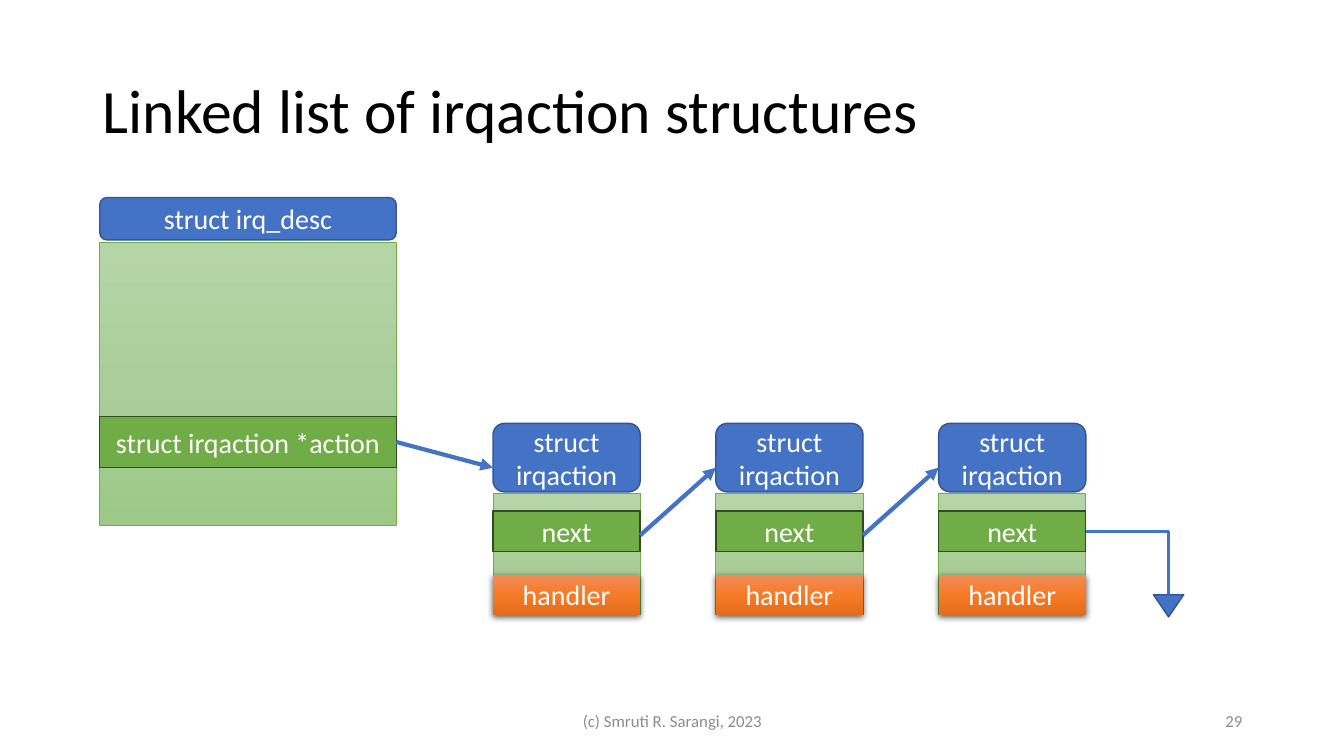
from dataclasses import dataclass

from lxml.etree import SubElement
from pptx import Presentation
from pptx.dml.color import RGBColor
from pptx.enum.shapes import MSO_CONNECTOR, MSO_SHAPE
from pptx.enum.text import MSO_ANCHOR, PP_ALIGN
from pptx.oxml.ns import qn
from pptx.util import Inches, Pt


@dataclass(frozen=True)
class Theme:
    font: str = "Calibri"
    title_size: int = 44
    label_size: int = 20
    footer_size: int = 12
    black: str = "000000"
    white: str = "FFFFFF"
    gray: str = "8C8C8C"
    blue: str = "4472C4"
    blue_edge: str = "325491"
    green: str = "70AD47"
    green_edge: str = "314C1F"
    pale_green: tuple = ("B5D5A7", "AACE9A", "9CC987")
    orange: tuple = ("F18C57", "F67B28", "E56C19")


THEME = Theme()
LEFT, RIGHT = 1, 3  # connection sites of a rectangle


def rgb(value):
    return RGBColor.from_string(value)


def style_text(tf, text, size, color, align):
    tf.word_wrap = True
    tf.vertical_anchor = MSO_ANCHOR.MIDDLE
    p = tf.paragraphs[0]
    p.text = text
    p.alignment = align
    p.font.name = THEME.font
    p.font.size = Pt(size)
    p.font.color.rgb = rgb(color)
    return p


def fill_gradient(sp, colors):
    """Vertical gradient with evenly spaced stops."""
    sp.fill.gradient()
    sp.fill.gradient_angle = 270
    stops = sp.element.spPr.find(".//" + qn("a:gsLst"))
    for stop in list(stops):
        stops.remove(stop)
    for i, color in enumerate(colors):
        position = 100000 * i // (len(colors) - 1)
        stop = SubElement(stops, qn("a:gs"), pos=str(position))
        SubElement(stop, qn("a:srgbClr"), val=color)


def add_block(s, box, fill, edge=None, weight=1, text="", kind=MSO_SHAPE.RECTANGLE):
    sp = s.shapes.add_shape(kind, *map(Inches, box))
    sp.shadow.inherit = False
    if isinstance(fill, tuple):
        fill_gradient(sp, fill)
    else:
        sp.fill.solid()
        sp.fill.fore_color.rgb = rgb(fill)
    if edge:
        sp.line.color.rgb = rgb(edge)
        sp.line.width = Pt(weight)
    else:
        sp.line.fill.background()
    if text:
        style_text(sp.text_frame, text, THEME.label_size, THEME.white, PP_ALIGN.CENTER)
    return sp


def add_header(s, box, text):
    return add_block(s, box, THEME.blue, THEME.blue_edge, text=text,
                     kind=MSO_SHAPE.ROUNDED_RECTANGLE)


def add_body(s, box):
    return add_block(s, box, THEME.pale_green, THEME.green, 0.5)


def add_field(s, box, text):
    return add_block(s, box, THEME.green, THEME.green_edge, text=text)


def add_handler(s, box):
    sp = add_block(s, box, THEME.orange, text="handler")
    effects = sp.element.spPr.find(qn("a:effectLst"))
    shadow = SubElement(effects, qn("a:outerShdw"), blurRad=str(Pt(4.5)),
                        dist=str(Pt(1.5)), dir="5400000", algn="ctr", rotWithShape="0")
    color = SubElement(shadow, qn("a:srgbClr"), val=THEME.black)
    SubElement(color, qn("a:alpha"), val="63000")


def add_line(s, start, end, weight, arrow=False):
    line = s.shapes.add_connector(MSO_CONNECTOR.STRAIGHT, *map(Inches, start + end))
    line.line.color.rgb = rgb(THEME.blue)
    line.line.width = Pt(weight)
    if arrow:
        SubElement(line.line._get_or_add_ln(), qn("a:tailEnd"), type="triangle")
    SubElement(line.element.spPr, qn("a:effectLst"))
    return line


def add_node(s, x):
    """One irqaction structure; returns its next field."""
    width = 1.46
    add_body(s, (x, 4.89, width, 1.21))
    add_handler(s, (x, 5.7, width, 0.4))
    next_field = add_field(s, (x, 5.07, width, 0.4), "next")
    add_header(s, (x, 4.2, width, 0.68), "struct irqaction")
    return next_field


def add_label(s, box, text, align):
    tb = s.shapes.add_textbox(*map(Inches, box))
    style_text(tb.text_frame, text, THEME.footer_size, THEME.gray, align)


def add_title(s, text):
    title = s.shapes.title
    title.left, title.top, title.width, title.height = map(Inches, (0.92, 0.4, 11.5, 1.45))
    p = style_text(title.text_frame, text, THEME.title_size, THEME.black, PP_ALIGN.LEFT)
    p.line_spacing = 0.9


def main():
    prs = Presentation()
    prs.slide_width, prs.slide_height = Inches(13.33), Inches(7.5)
    s = prs.slides.add_slide(prs.slide_layouts[5])
    add_title(s, "Linked list of irqaction structures")

    # Interrupt descriptor
    add_body(s, (0.99, 2.4, 2.94, 2.81))
    action = add_field(s, (0.99, 4.13, 2.94, 0.51), "struct irqaction *action")
    add_header(s, (0.99, 1.96, 2.94, 0.42), "struct irq_desc")

    # Linked nodes
    node_xs = [4.89 + 2.21 * i for i in range(3)]
    next_fields = [add_node(s, x) for x in node_xs]

    # Pointers into each node
    head = add_line(s, (3.93, 4.38), (node_xs[0], 4.64), 3, arrow=True)
    head.begin_connect(action, RIGHT)
    for x, following in zip(node_xs, node_xs[1:]):
        add_line(s, (x + 1.46, 5.31), (following, 4.64), 3, arrow=True)

    # End of the list
    tail = add_line(s, (10.77, 5.27), (11.59, 5.27), 2.25)
    tail.begin_connect(next_fields[-1], RIGHT)
    add_line(s, (11.59, 5.27), (11.59, 5.89), 2.25)
    ground = add_block(s, (11.44, 5.9, 0.3, 0.22), THEME.blue, THEME.blue_edge,
                       kind=MSO_SHAPE.ISOSCELES_TRIANGLE)
    ground.rotation = 180

    # Footer
    add_label(s, (4.42, 6.95, 4.5, 0.4), "(c) Smruti R. Sarangi, 2023", PP_ALIGN.CENTER)
    add_label(s, (9.42, 6.95, 3, 0.4), "29", PP_ALIGN.RIGHT)
    prs.save("out.pptx")


if __name__ == "__main__":
    main()
